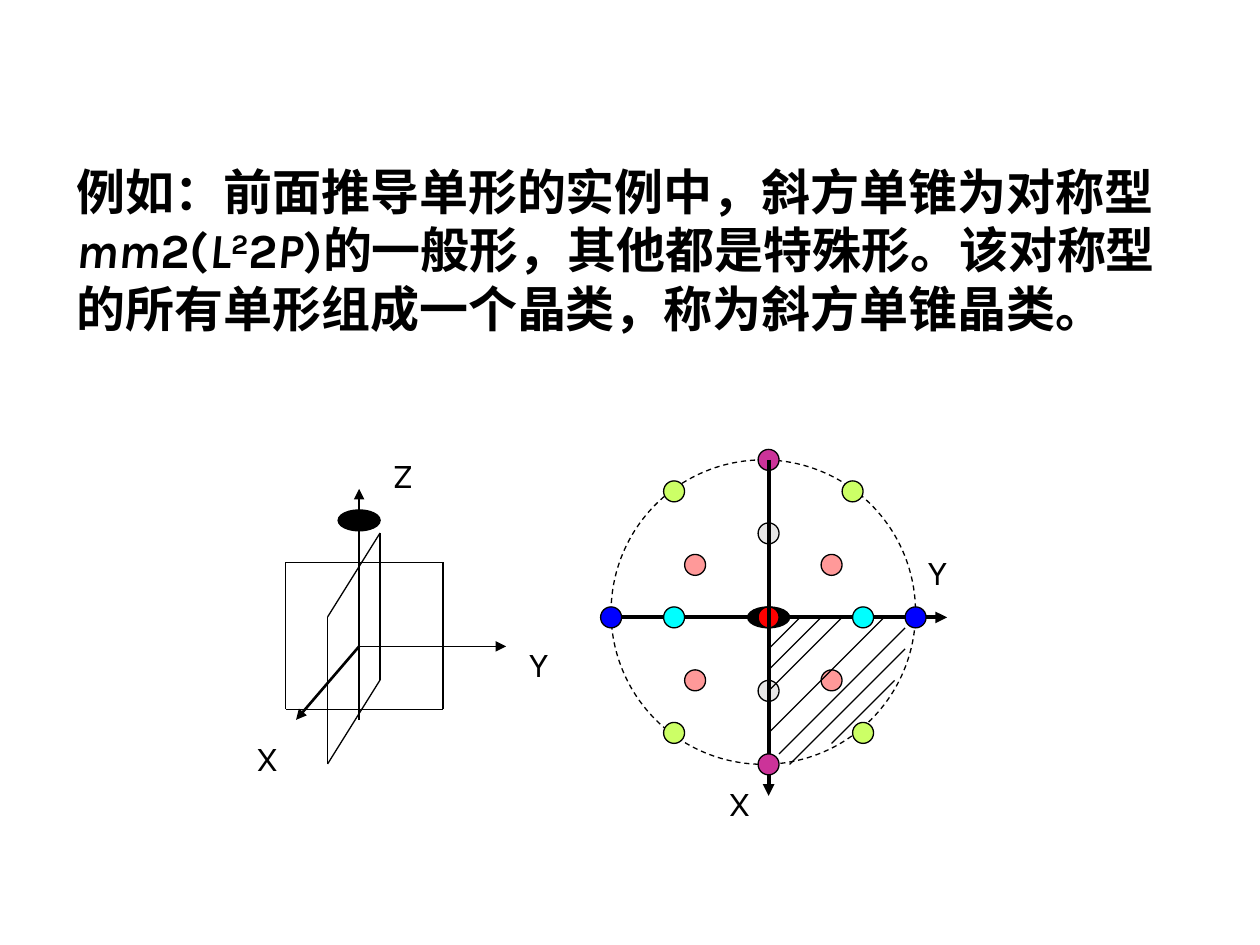
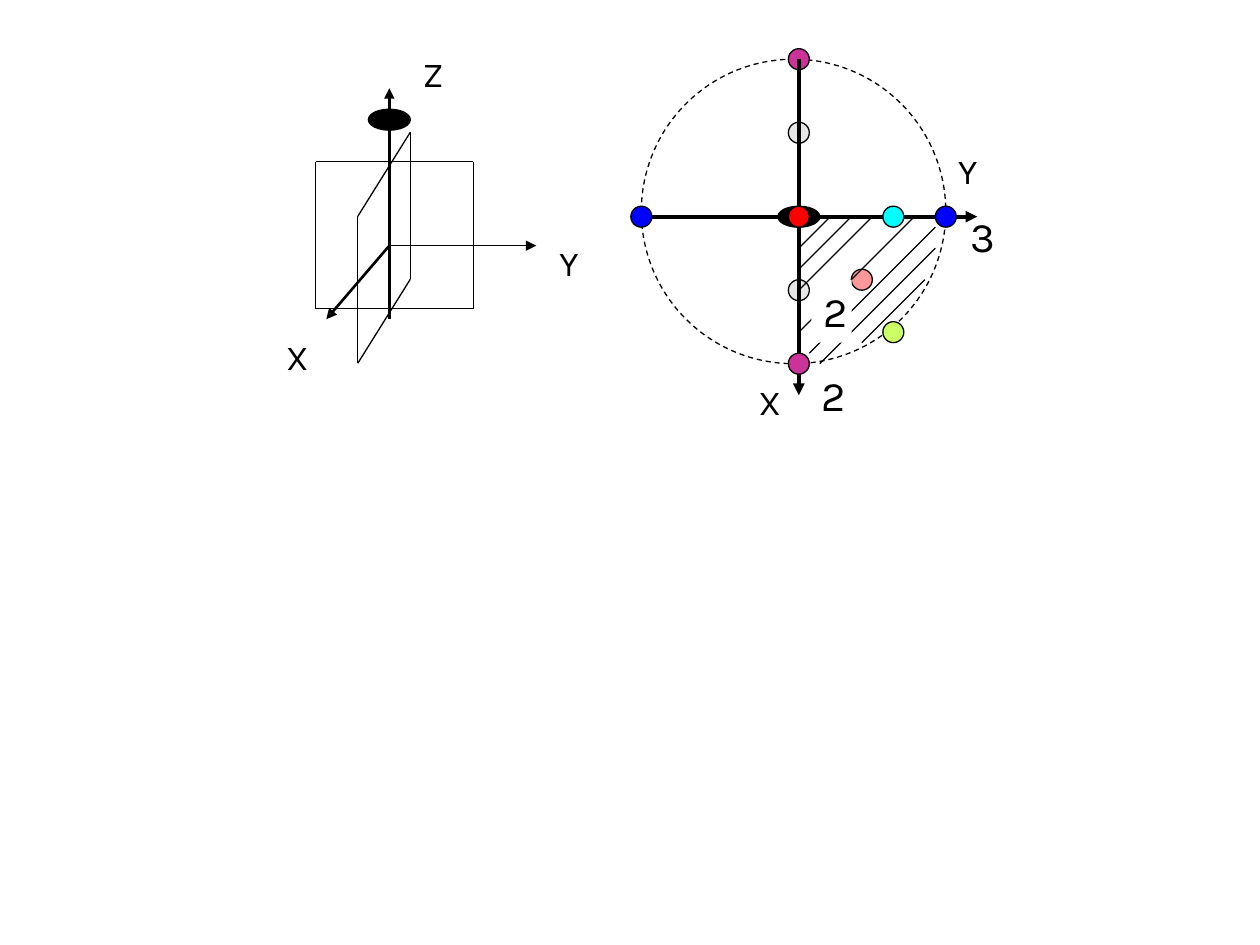
from dataclasses import dataclass

from lxml import etree
from pptx import Presentation
from pptx.dml.color import RGBColor
from pptx.enum.dml import MSO_LINE
from pptx.enum.shapes import MSO_CONNECTOR, MSO_SHAPE
from pptx.enum.text import MSO_AUTO_SIZE
from pptx.oxml.ns import qn
from pptx.util import Inches, Pt


@dataclass(frozen=True)
class Theme:
    font: str = "Karla"
    ink: str = "000000"
    paper: str = "FFFFFF"
    blue: str = "0000FF"
    cyan: str = "00FFFF"
    grey: str = "E7E6E6"
    plum: str = "CC3399"
    lime: str = "CCFF66"
    pink: str = "FF9999"
    red: str = "FF0000"
    body: int = 28
    count: int = 24
    label: int = 20
    thin: float = 0.75
    mid: float = 1.5
    bold: float = 2.25


THEME = Theme()
UNIT = 1 / 12  # inches per grid step of both diagrams

# Faces on the stereographic net: colour, then grid positions
EDGE = [
    (THEME.blue, [(-15, 0), (14, 0)]),
    (THEME.grey, [(0, -8), (0, 7)]),
    (THEME.plum, [(0, -15)]),
]
BASIC = EDGE + [
    (THEME.cyan, [(9, 0)]),
    (THEME.lime, [(9, 11)]),
    (THEME.pink, [(6, 6)]),
]
FULL = BASIC + [
    (THEME.cyan, [(-9, 0)]),
    (THEME.lime, [(-9, 11), (-9, -12), (8, -12)]),
    (THEME.pink, [(-7, -5), (6, -5), (-7, 6)]),
]
# Hatch lines at 45 degrees: right end, then number of steps down-left
HATCH = [(3, 0, 3), (5, 0, 5), (7, 0, 7), (11, 0, 11),
         (13, 1, 12), (13, 3, 11), (12, 6, 6)]


def color(code):
    return RGBColor.from_string(code)


def write(shapes, text, left, top, width, height, size=THEME.label,
          bold=False, fill=None):
    """Add a text box; text is a string or a list of (text, style) runs,
    where style is "", "i" (italic) or "sup" (superscript)."""
    box = shapes.add_textbox(Inches(left), Inches(top),
                             Inches(width), Inches(height))
    if fill:
        box.fill.solid()
        box.fill.fore_color.rgb = color(fill)
    frame = box.text_frame
    frame.word_wrap = True
    frame.auto_size = MSO_AUTO_SIZE.SHAPE_TO_FIT_TEXT
    runs = [(text, "")] if isinstance(text, str) else text
    for words, style in runs:
        run = frame.paragraphs[0].add_run()
        run.text = words
        font = run.font
        font.name, font.size, font.bold = THEME.font, Pt(size), bold
        font.italic = style == "i"
        font.color.rgb = color(THEME.ink)
        if style == "sup":
            font._element.set("baseline", "30000")


class Grid:
    """A group drawn in grid steps around an origin given in inches."""

    def __init__(self, slide, left, top):
        self.shapes = slide.shapes.add_group_shape().shapes
        self.left, self.top = left, top

    def spot(self, x, y):
        return self.left + x * UNIT, self.top + y * UNIT

    def line(self, start, end, width=THEME.thin, arrow=False):
        ends = [Inches(v) for v in self.spot(*start) + self.spot(*end)]
        link = self.shapes.add_connector(MSO_CONNECTOR.STRAIGHT, *ends)
        link.line.color.rgb = color(THEME.ink)
        link.line.width = Pt(width)
        if arrow:
            etree.SubElement(link.line._get_or_add_ln(), qn("a:tailEnd"),
                             type="triangle")
        etree.SubElement(link._element.spPr, qn("a:effectLst"))

    def oval(self, x, y, fill, wide=2, high=2, dash=False):
        left, top = self.spot(x - wide / 2, y - high / 2)
        oval = self.shapes.add_shape(
            MSO_SHAPE.OVAL, Inches(left), Inches(top),
            Inches(wide * UNIT), Inches(high * UNIT))
        oval.shadow.inherit = False
        oval.fill.solid()
        oval.fill.fore_color.rgb = color(fill)
        oval.line.color.rgb = color(THEME.ink)
        oval.line.width = Pt(THEME.thin)
        if dash:
            oval.line.dash_style = MSO_LINE.DASH

    def label(self, text, x, y, width=0.42):
        write(self.shapes, text, *self.spot(x, y), width, 0.44)


def draw_axes(slide, left, top):
    """Crystal axes and two mirror planes, with the axes crossing at left, top."""
    grid = Grid(slide, left, top)
    grid.oval(0, -12, THEME.ink, wide=4)
    grid.line((0, 7), (0, -15), THEME.mid, arrow=True)
    grid.line((0, 0), (14, 0), arrow=True)
    grid.line((0, 0), (-6, 7), THEME.mid, arrow=True)
    front = [(-7, -8), (8, -8), (8, 6), (-7, 6)]
    side = [(2, -10.8), (-3, -2.8), (-3, 11.2), (2, 3.2)]
    for plane in (front, side):
        for start, end in zip(plane, plane[1:] + plane[:1]):
            grid.line(start, end)
    for text, x, y in [("Z", 2, -19), ("Y", 15, -1), ("X", -11, 8)]:
        grid.label(text, x, y)


def draw_net(slide, left, top, faces, front=False):
    """Stereographic net with its pole at left, top.
    front puts the pole's red dot above the vertical axis."""
    grid = Grid(slide, left, top)
    grid.oval(-0.5, -0.5, THEME.paper, wide=29, high=29, dash=True)
    grid.line((-16, 0), (17, 0), THEME.bold, arrow=True)
    grid.label("Y", 14, -7, width=0.25)
    grid.label("X", -5, 15, width=0.5)
    for fill, spots in faces:
        for x, y in spots:
            grid.oval(x, y, fill)
    for x, y, steps in HATCH:
        grid.line((x, y), (x - steps, y + steps))
    grid.oval(0, 0, THEME.ink, wide=4)
    if not front:
        grid.oval(0, 0, THEME.red)
    grid.line((0, -15), (0, 17), THEME.bold, arrow=True)
    grid.oval(0, 14, THEME.plum)
    if front:
        grid.oval(0, 0, THEME.red)


def add_example(slide):
    draw_axes(slide, 2.85, 5.13)
    draw_net(slide, 6.1, 4.9, FULL)
    write(slide.shapes, [
        ("例如：前面推导单形的实例中，斜方单锥为对称型", ""),
        ("mm", "i"), ("2(", ""), ("L", "i"), ("2", "sup"), ("2", ""),
        ("P", "i"),
        (")的一般形，其他都是特殊形。该对称型的所有单形组成一个晶类，"
         "称为斜方单锥晶类。", ""),
    ], 0.51, 1.23, 9.02, 1.5, size=THEME.body, bold=True)


def add_counts(slide):
    draw_axes(slide, 3.09, 1.95)
    draw_net(slide, 6.34, 1.72, BASIC, front=True)
    for text, left, top, fill in [("2", 6.42, 2.88, None),
                                  ("3", 7.6, 1.62, None),
                                  ("2", 6.44, 2.22, THEME.paper)]:
        write(slide.shapes, text, left, top, 0.32, 0.5,
              size=THEME.count, fill=fill)


def main():
    deck = Presentation()
    deck.slide_width, deck.slide_height = Inches(10), Inches(7.5)
    for build in (add_example, add_counts):
        build(deck.slides.add_slide(deck.slide_layouts[6]))
    deck.save("out.pptx")


if __name__ == "__main__":
    main()
